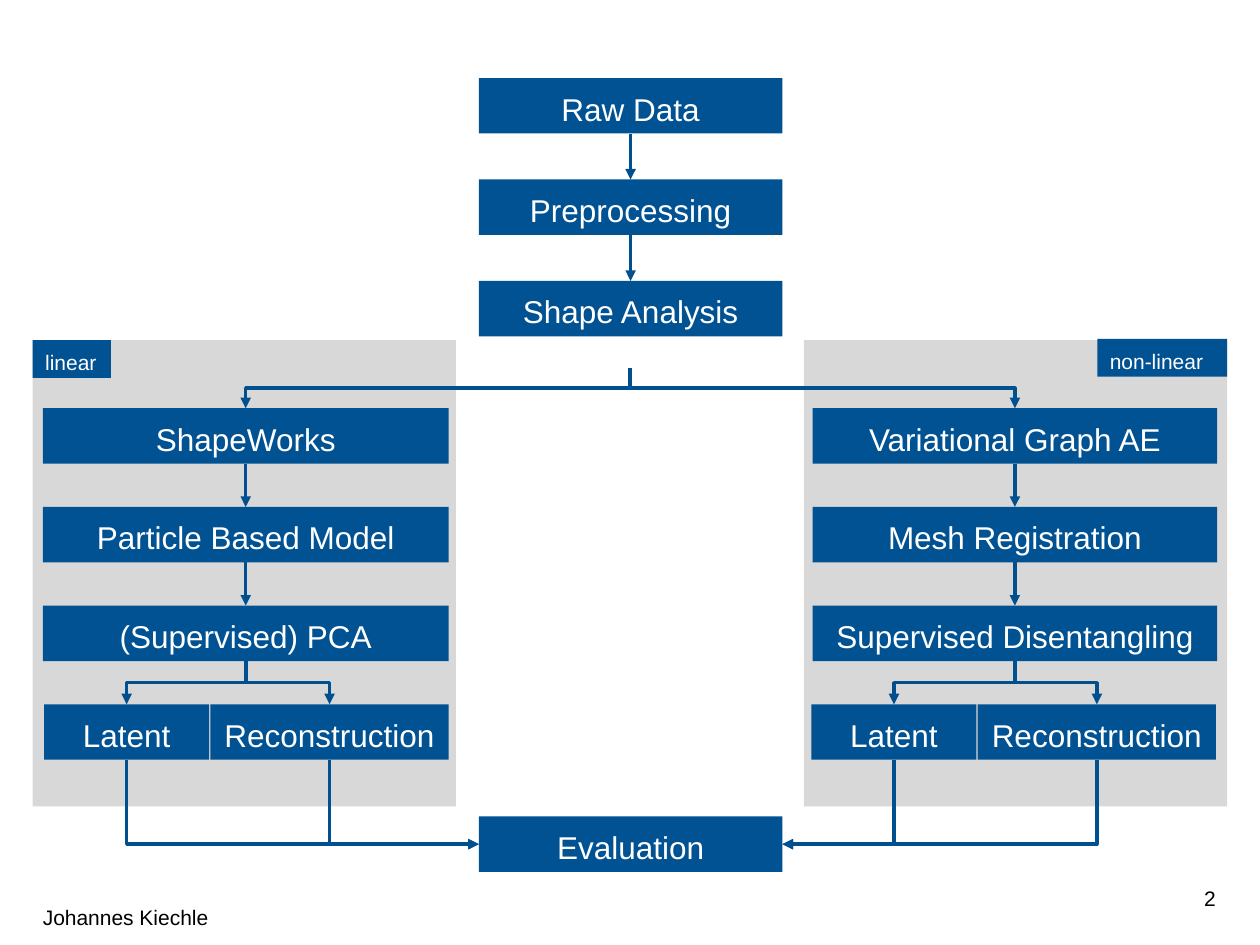
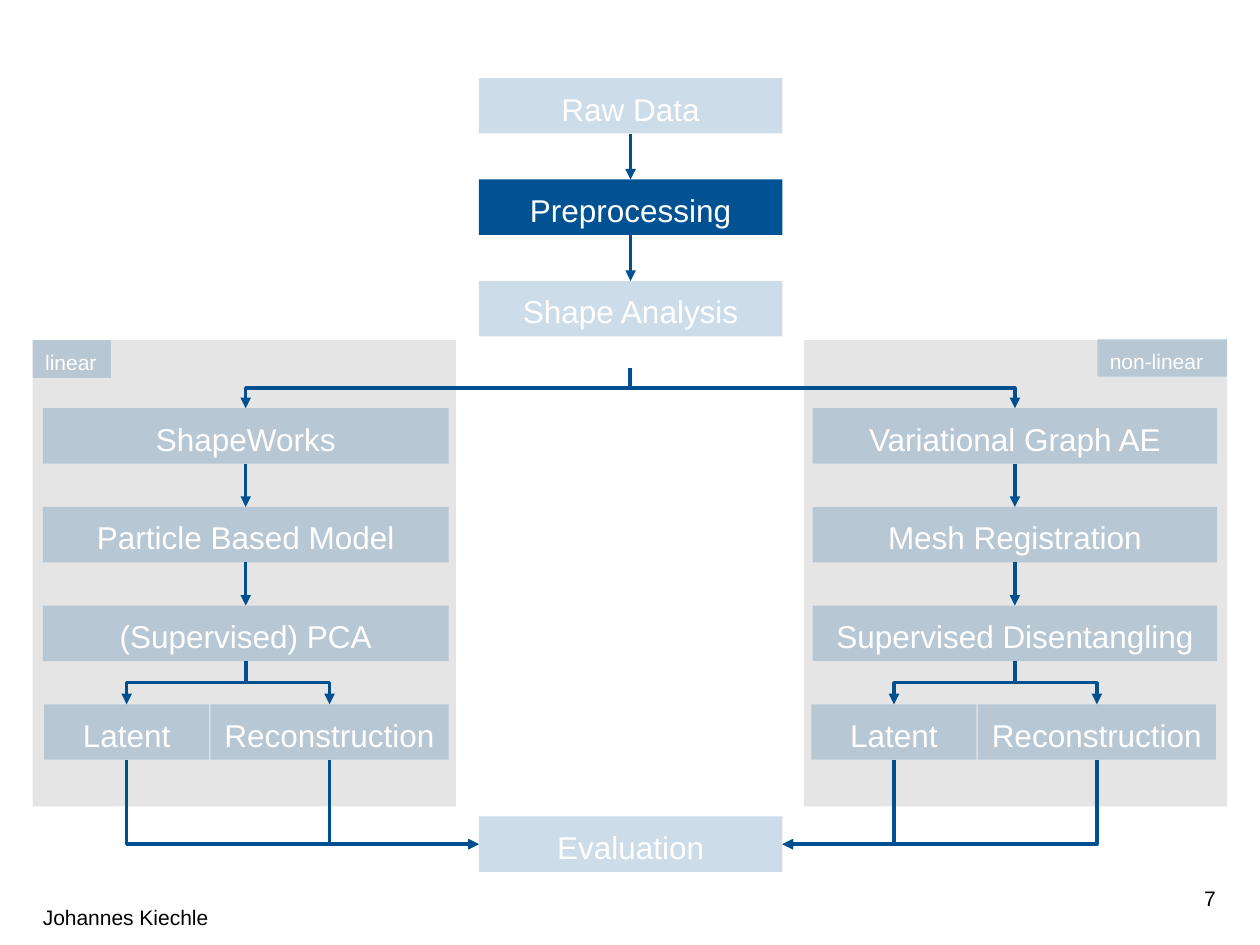
"""Build two flowchart slides: the whole pipeline, then its preprocessing step."""
from dataclasses import dataclass
from typing import NamedTuple, Optional

from lxml.etree import SubElement
from pptx import Presentation
from pptx.dml.color import RGBColor
from pptx.enum.shapes import MSO_CONNECTOR as CONN, MSO_SHAPE as SHAPE
from pptx.enum.text import MSO_ANCHOR as ANCHOR, PP_ALIGN as ALIGN
from pptx.oxml.ns import qn
from pptx.shapes.autoshape import Shape
from pptx.shapes.connector import Connector
from pptx.slide import Slide
from pptx.util import Inches, Pt

BLUE = RGBColor(0x00, 0x52, 0x93)
ARROW_BLUE = RGBColor(0x00, 0x50, 0x90)
GRAY = RGBColor(0x80, 0x80, 0x80)
WHITE = RGBColor(0xFF, 0xFF, 0xFF)
BLACK = RGBColor(0x00, 0x00, 0x00)

FONT = "Arial"
AUTHOR = "Johannes Kiechle"
BOX_H = 0.44
FADED = 20
TRUNK_X, TRUNK_W, TRUNK_MID = 3.8, 2.41, 5.0
TRUNK_TOP, TRUNK_PITCH = 0.62, (2.23 - 0.62) / 2
BRANCH_TOP, BRANCH_PITCH = 3.24, (5.59 - 3.24) / 3
FORK_Y, EVALUATION_Y = 2.92, 6.48
TRUNK_STEPS = ("Raw Data", "Preprocessing", "Shape Analysis")


class Rect(NamedTuple):
    """Position and size in inches."""
    x: float
    y: float
    w: float
    h: float = BOX_H


class Output(NamedTuple):
    """One of the paired results that close a branch."""
    text: str
    x: float
    w: float


@dataclass(frozen=True)
class Branch:
    """One method family with its panel, tag, steps and results."""
    tag: str
    tag_rect: Rect
    panel: Rect
    x: float
    w: float
    steps: tuple[str, ...]
    outputs: tuple[Output, ...]
    evaluation_x: float


@dataclass(frozen=True)
class Page:
    """What differs between the slides."""
    number: str
    panel_opacity: int
    focus: Optional[str] = None

    def opacity(self, text: str) -> int:
        """Return the fill opacity of the box with this text."""
        return 100 if self.focus in (None, text) else FADED


BRANCHES = (
    Branch("non-linear", Rect(8.71, 2.69, 1.03, 0.3), Rect(6.38, 2.7, 3.36, 3.7), 6.45, 3.21,
           ("Variational Graph AE", "Mesh Registration", "Supervised Disentangling"),
           (Output("Latent", 6.44, 1.31), Output("Reconstruction", 7.76, 1.89)),
           TRUNK_X + TRUNK_W),
    Branch("linear", Rect(0.26, 2.7, 0.62, 0.3), Rect(0.26, 2.7, 3.36, 3.7), 0.34, 3.22,
           ("ShapeWorks", "Particle Based Model", "(Supervised) PCA"),
           (Output("Latent", 0.35, 1.31), Output("Reconstruction", 1.67, 1.89)),
           TRUNK_X),
)
PAGES = (Page("2", 30), Page("7", 20, "Preprocessing"))


def add_rect(s: Slide, rect: Rect, color: RGBColor, opacity: int) -> Shape:
    """Add a borderless rectangle with the given fill opacity in percent."""
    sp = s.shapes.add_shape(SHAPE.RECTANGLE, *map(Inches, rect))
    sp.shadow.inherit = False
    sp.line.fill.background()
    sp.fill.solid()
    sp.fill.fore_color.rgb = color
    if opacity < 100:
        clr = sp._element.spPr.find(qn("a:solidFill"))[0]
        SubElement(clr, qn("a:alpha")).set("val", str(opacity * 1000))
    return sp


def set_text(sp: Shape, text: str, size: int, color: RGBColor, align: ALIGN,
             anchor: ANCHOR) -> None:
    """Write one styled paragraph into a shape."""
    tf = sp.text_frame
    tf.word_wrap = True
    tf.vertical_anchor = anchor
    p = tf.paragraphs[0]
    p.text = text
    p.alignment = align
    p.font.name, p.font.size, p.font.color.rgb = FONT, Pt(size), color


def add_box(s: Slide, page: Page, text: str, rect: Rect, size: int = 18,
            align: ALIGN = ALIGN.CENTER) -> Shape:
    """Add a blue labelled box, faded when the page focuses elsewhere."""
    sp = add_rect(s, rect, BLUE, page.opacity(text))
    set_text(sp, text, size, WHITE, align, ANCHOR.TOP)
    sp.text_frame.paragraphs[0].line_spacing = 1.14
    return sp


def add_footer(s: Slide, text: str, rect: Rect, align: ALIGN) -> None:
    """Add a footer text without side margins."""
    sp = s.shapes.add_textbox(*map(Inches, rect))
    sp.text_frame.margin_left = sp.text_frame.margin_right = 0
    set_text(sp, text, 12, BLACK, align, ANCHOR.MIDDLE)


def style_arrow(c: Connector) -> None:
    """Give a connector its line and arrowhead."""
    c.line.color.rgb = ARROW_BLUE
    c.line.width = Pt(2)
    SubElement(c.line._get_or_add_ln(), qn("a:tailEnd")).set("type", "triangle")
    SubElement(c._element.spPr, qn("a:effectLst"))


def join_down(s: Slide, boxes: list[Shape]) -> None:
    """Link each box to the next one below with a straight arrow."""
    for upper, lower in zip(boxes, boxes[1:]):
        c = s.shapes.add_connector(CONN.STRAIGHT, 0, 0, 0, 0)
        c.begin_connect(upper, 2)
        c.end_connect(lower, 0)
        style_arrow(c)


def add_elbow(s: Slide, x1: float, y1: float, x2: float, y2: float,
              preset: str = "bentConnector3") -> None:
    """Add a bent arrow that leaves its start downwards."""
    w, h = y2 - y1, abs(x2 - x1)
    left, top = (x1 + x2 - w) / 2, (y1 + y2 - h) / 2
    c = s.shapes.add_connector(CONN.ELBOW, *map(Inches, (left, top, left + w, top + h)))
    spPr = c._element.spPr
    spPr.find(qn("a:prstGeom")).set("prst", preset)
    xfrm = spPr.find(qn("a:xfrm"))
    xfrm.set("rot", str((270 if x2 > x1 else 90) * 60000))
    if x2 > x1:
        xfrm.set("flipH", "1")
    style_arrow(c)


def add_branch(s: Slide, page: Page, branch: Branch) -> None:
    """Draw the boxes and arrows of one branch."""
    tops = [BRANCH_TOP + i * BRANCH_PITCH for i in range(4)]
    mid = branch.x + branch.w / 2
    steps = [add_box(s, page, text, Rect(branch.x, y, branch.w))
             for text, y in zip(branch.steps, tops)]
    for out in branch.outputs:
        add_box(s, page, out.text, Rect(out.x, tops[3], out.w))
    join_down(s, steps)
    add_elbow(s, TRUNK_MID, FORK_Y, mid, BRANCH_TOP)
    for out in branch.outputs:
        out_mid = out.x + out.w / 2
        add_elbow(s, mid, tops[2] + BOX_H, out_mid, tops[3])
        add_elbow(s, out_mid, tops[3] + BOX_H, branch.evaluation_x,
                  EVALUATION_Y + BOX_H / 2, "bentConnector2")
    add_box(s, page, branch.tag, branch.tag_rect, 12, ALIGN.LEFT)


def add_page(prs: Presentation, page: Page) -> None:
    """Add one flowchart slide."""
    s = prs.slides.add_slide(prs.slide_layouts[6])
    for branch in BRANCHES:
        add_rect(s, branch.panel, GRAY, page.panel_opacity)
    add_footer(s, page.number, Rect(7.41, 6.93, 2.24, 0.4), ALIGN.RIGHT)
    add_footer(s, AUTHOR, Rect(0.34, 7.08, 7.07, 0.4), ALIGN.LEFT)
    trunk = [add_box(s, page, text, Rect(TRUNK_X, TRUNK_TOP + i * TRUNK_PITCH, TRUNK_W))
             for i, text in enumerate(TRUNK_STEPS)]
    add_box(s, page, "Evaluation", Rect(TRUNK_X, EVALUATION_Y, TRUNK_W))
    join_down(s, trunk)
    for branch in BRANCHES:
        add_branch(s, page, branch)


def main() -> None:
    """Build and save the presentation."""
    prs = Presentation()
    prs.slide_width, prs.slide_height = Inches(10), Inches(7.5)
    for page in PAGES:
        add_page(prs, page)
    prs.save("out.pptx")


if __name__ == "__main__":
    main()
